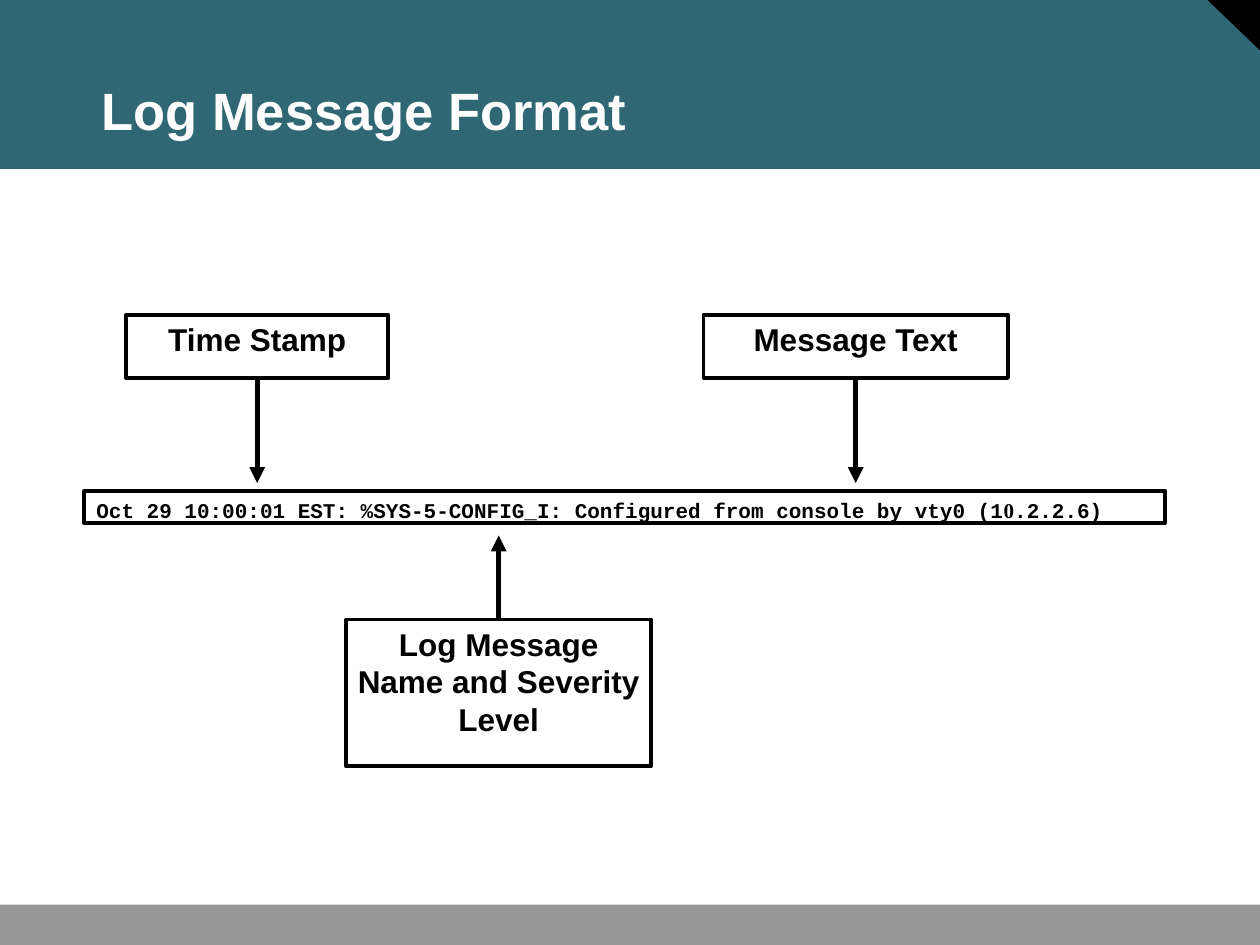
import dataclasses

import lxml.etree
import pptx
import pptx.dml.color
import pptx.enum.shapes
import pptx.enum.text
import pptx.oxml.ns
import pptx.util

Pt = pptx.util.Pt
RGB = pptx.dml.color.RGBColor.from_string
SHAPE = pptx.enum.shapes.MSO_SHAPE
ALIGN = pptx.enum.text.PP_ALIGN
ANCHOR = pptx.enum.text.MSO_ANCHOR
TOP, BOTTOM = 0, 2
COLUMNS, ROWS = 120, 90


@dataclasses.dataclass(frozen=True)
class Theme:
    header: str = "306774"
    footer: str = "969696"
    ink: str = "000000"
    paper: str = "FFFFFF"
    sans: str = "Arial"
    mono: str = "Courier New"
    serif: str = "Times New Roman"
    title_size: float = 30
    label_size: float = 18
    log_size: float = 12
    border: float = 2.25
    arrow: float = 3


class SlideBuilder:
    """Places elements on a grid of COLUMNS by ROWS."""

    def __init__(self, deck, theme):
        self.theme = theme
        self.slide = deck.slides.add_slide(deck.slide_layouts[5])
        self.column = deck.slide_width / COLUMNS
        self.row = deck.slide_height / ROWS

    def area(self, left, top, width, height):
        return (round(left * self.column), round(top * self.row),
                round(width * self.column), round(height * self.row))

    def block(self, area, fill, kind=SHAPE.RECTANGLE):
        block = self.slide.shapes.add_shape(kind, *self.area(*area))
        block.shadow.inherit = False
        block.fill.solid()
        block.fill.fore_color.rgb = RGB(fill)
        block.line.fill.background()
        return block

    def format_text(self, shape, size, font, color, insets, anchor=ANCHOR.TOP):
        frame = shape.text_frame
        frame.word_wrap = True
        frame.vertical_anchor = anchor
        (frame.margin_left, frame.margin_top,
         frame.margin_right, frame.margin_bottom) = map(pptx.util.Inches, insets)
        paragraph = frame.paragraphs[0]
        paragraph.font.size = Pt(size)
        paragraph.font.name = font
        paragraph.font.bold = True
        paragraph.font.color.rgb = RGB(color)
        return paragraph

    def title(self, text, area):
        title = self.slide.shapes.title
        title.left, title.top, title.width, title.height = self.area(*area)
        title.text_frame.text = text
        heading = self.format_text(title, self.theme.title_size, self.theme.sans,
                                   self.theme.paper, (0.09, 0.04, 0.09, 0.04),
                                   ANCHOR.BOTTOM)
        heading.alignment = ALIGN.LEFT
        heading.line_spacing = 0.9
        # The title must lie in front of the header band.
        title.element.getparent().append(title.element)

    def bordered_box(self, area):
        box = self.block(area, self.theme.paper)
        box.line.color.rgb = RGB(self.theme.ink)
        box.line.width = Pt(self.theme.border)
        return box

    def label(self, text, area):
        label = self.bordered_box(area)
        label.text_frame.text = text
        self.format_text(label, self.theme.label_size, self.theme.sans, self.theme.ink,
                         (0.08, 0.04, 0.08, 0.04)).alignment = ALIGN.CENTER
        return label

    def log_line(self, pieces, area):
        """Writes one line from (text, font) pieces."""
        log = self.bordered_box(area)
        line = self.format_text(log, self.theme.log_size, self.theme.mono,
                                self.theme.ink, (0.1, 0.05, 0.1, 0))
        line.alignment = ALIGN.LEFT
        for text, font in pieces:
            run = line.add_run()
            run.text = text
            run.font.name = font

    def arrow(self, label, side, tip_row):
        """Points straight from the middle of a label's side to a row."""
        middle = label.left + label.width // 2
        start = label.top + (label.height if side == BOTTOM else 0)
        arrow = self.slide.shapes.add_connector(
            pptx.enum.shapes.MSO_CONNECTOR.STRAIGHT,
            middle, start, middle, round(tip_row * self.row))
        arrow.begin_connect(label, side)
        arrow.line.color.rgb = RGB(self.theme.ink)
        arrow.line.width = Pt(self.theme.arrow)
        qn = pptx.oxml.ns.qn
        lxml.etree.SubElement(arrow.line._get_or_add_ln(), qn("a:tailEnd"), type="triangle")
        lxml.etree.SubElement(arrow.element.spPr, qn("a:effectLst"))


def main():
    deck = pptx.Presentation()
    deck.slide_width, deck.slide_height = pptx.util.Inches(10), pptx.util.Inches(7.5)
    theme = Theme()
    page = SlideBuilder(deck, theme)

    page.block((0, 0, COLUMNS, 16.1), theme.header)
    corner = page.block((115, 0, 5, 4.8), theme.ink, SHAPE.RIGHT_TRIANGLE)
    corner.rotation = 180
    page.block((0, 86.15, COLUMNS, 3.85), theme.footer)
    page.title("Log Message Format", (8.6, 3, 107, 11))

    page.log_line([
        ("Oct 29 10:00:01 EST: %SYS-5-CONFIG_I: Configured from console by vty0 (1",
         theme.mono),
        ("0", theme.serif),
        (".2.2.6)", theme.mono),
    ], (8, 46.8, 103, 3))

    for text, area, side, tip_row in (
        ("Time Stamp", (12, 30, 25, 6), BOTTOM, 46),
        ("Log Message Name and Severity Level", (33, 59, 29, 14), TOP, 51),
        ("Message Text", (67, 30, 29, 6), BOTTOM, 46),
    ):
        page.arrow(page.label(text, area), side, tip_row)

    deck.save("out.pptx")


if __name__ == "__main__":
    main()
